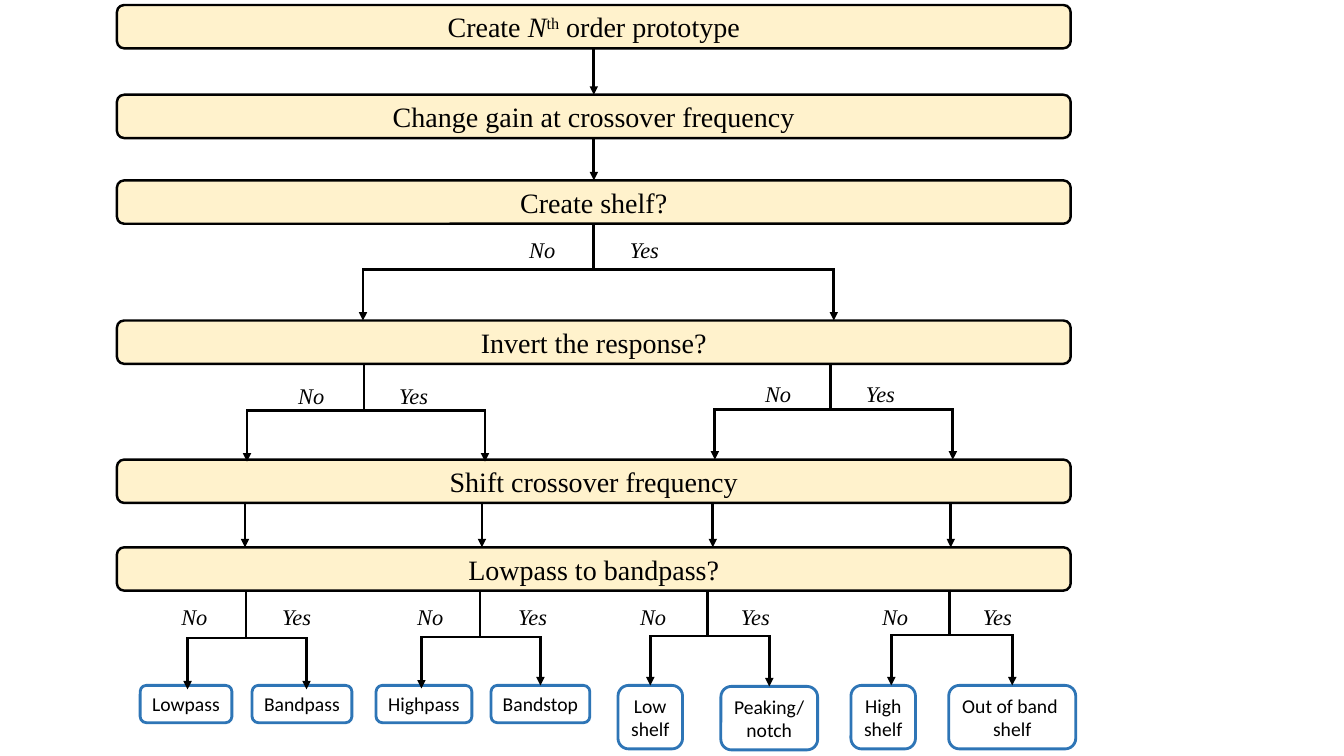
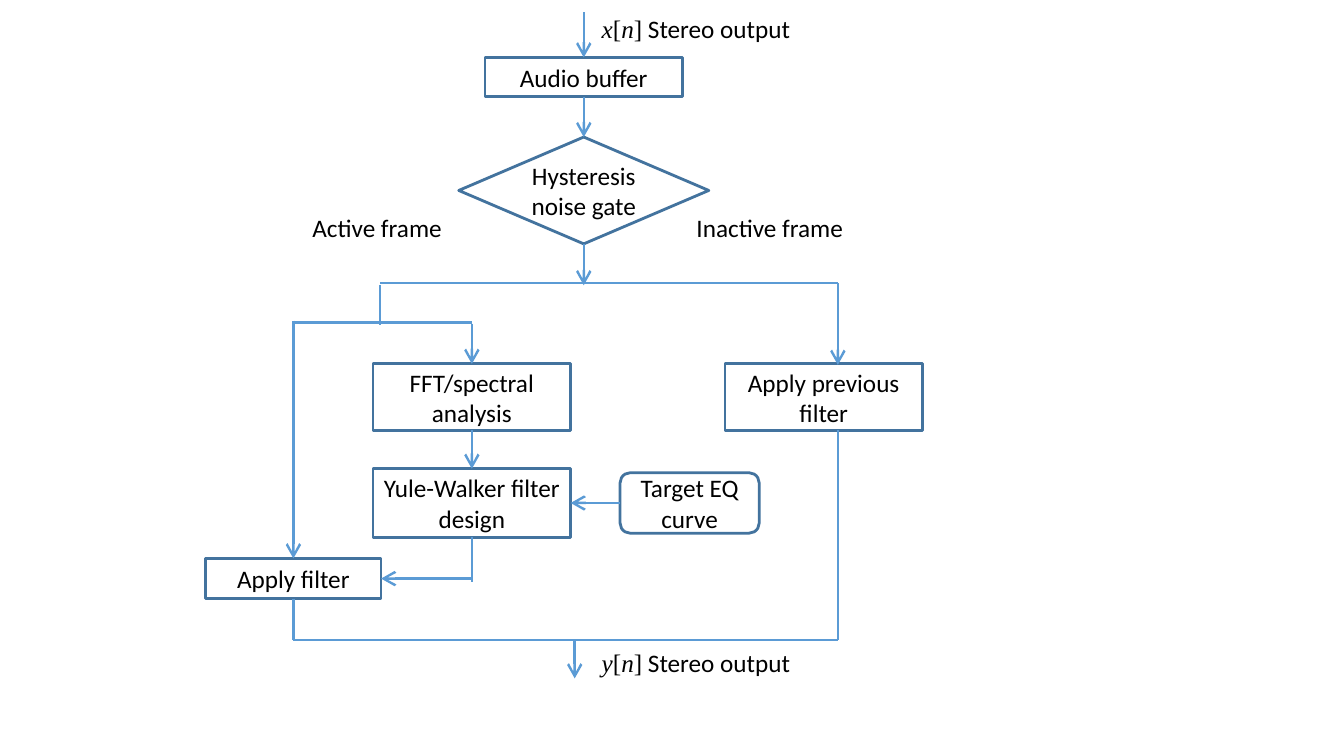
from dataclasses import dataclass
from math import hypot

from lxml.etree import SubElement
from pptx import Presentation
from pptx.dml.color import RGBColor
from pptx.enum.shapes import MSO_CONNECTOR, MSO_SHAPE
from pptx.enum.text import MSO_ANCHOR, MSO_AUTO_SIZE, PP_ALIGN
from pptx.oxml.ns import qn
from pptx.util import Inches, Pt


@dataclass(frozen=True)
class Theme:
    ink: str = "000000"
    bar_fill: str = "FFF2CC"
    outcome_line: str = "2E75B6"
    step_line: str = "43739E"
    flow_line: str = "5B9BD5"
    serif: str = "Times New Roman"
    sans: str = "Calibri"
    bar_size: int = 20
    step_size: int = 18
    answer_size: int = 16
    outcome_size: int = 14
    thin: float = 1.75
    thick: float = 2


THEME = Theme()
JOIN_DISTANCE = 0.035  # inches within which a line end joins a side's middle
HEAD_SIZES = {"triangle": "med", "arrow": "lg"}


# Text
def write_text(frame, paragraphs, size, font=THEME.sans, italic=False,
               align=PP_ALIGN.LEFT, anchor=MSO_ANCHOR.TOP, wrap=False, grow=False,
               tab_stop=None):
    """Each paragraph is a string or a list of (text, overrides) spans."""
    frame.word_wrap = wrap
    frame.vertical_anchor = anchor
    frame.auto_size = MSO_AUTO_SIZE.SHAPE_TO_FIT_TEXT if grow else MSO_AUTO_SIZE.NONE
    for index, content in enumerate(paragraphs):
        para = frame.add_paragraph() if index else frame.paragraphs[0]
        para.alignment = align
        if tab_stop:
            stops = SubElement(para._p.get_or_add_pPr(), qn("a:tabLst"))
            SubElement(stops, qn("a:tab"), pos=str(Inches(tab_stop)), algn="l")
        spans = [(content, {})] if isinstance(content, str) else content
        for text, changes in spans:
            span = para.add_run()
            span.text = text
            span.font.size = Pt(size)
            span.font.name = changes.get("font", font)
            span.font.italic = changes.get("italic", italic)
            span.font.color.rgb = RGBColor.from_string(THEME.ink)
            if "baseline" in changes:
                span._r.get_or_add_rPr().set("baseline", str(changes["baseline"]))


def add_label(page, left, top, width, height, content, **text_format):
    box = page.shapes.add_textbox(*map(Inches, (left, top, width, height)))
    write_text(box.text_frame, [content], grow=True, **text_format)


# Shapes
def add_box(page, kind, area, paragraphs, line, line_width=THEME.thick, fill=None,
            **text_format):
    box = page.shapes.add_shape(kind, *map(Inches, area))
    box.shadow.inherit = False
    if fill:
        box.fill.solid()
        box.fill.fore_color.rgb = RGBColor.from_string(fill)
    else:
        box.fill.background()
    box.line.color.rgb = RGBColor.from_string(line)
    box.line.width = Pt(line_width)
    write_text(box.text_frame, paragraphs, align=PP_ALIGN.CENTER, **text_format)
    return box


def side_middles(box):
    """Middles of the sides in connection order: top, left, bottom, right."""
    left, top = box.left.inches, box.top.inches
    width, height = box.width.inches, box.height.inches
    middle, centre = left + width / 2, top + height / 2
    return [(middle, top), (left, centre), (middle, top + height), (left + width, centre)]


# Lines
def add_line(page, start, end, color, width, head=None, boxes=()):
    line = page.shapes.add_connector(
        MSO_CONNECTOR.STRAIGHT, *map(Inches, (*start, *end)))
    line.line.color.rgb = RGBColor.from_string(color)
    line.line.width = Pt(width)
    properties = line._element.spPr
    if head:
        size = HEAD_SIZES[head]
        SubElement(properties.find(qn("a:ln")), qn("a:tailEnd"),
                   type=head, w=size, len=size)
    SubElement(properties, qn("a:effectLst"))
    for point, connect in ((start, line.begin_connect), (end, line.end_connect)):
        for box in boxes:
            for site, (x, y) in enumerate(side_middles(box)):
                if hypot(x - point[0], y - point[1]) < JOIN_DISTANCE:
                    connect(box, site)


def add_decision_line(page, start, end, boxes, head=None):
    add_line(page, start, end, THEME.ink, THEME.thick, head, boxes)


def add_branch(page, boxes, stem, top, rail, tip, left, right):
    """A stem that splits at a rail into two arrows."""
    add_decision_line(page, (stem, top), (stem, rail), boxes)
    add_decision_line(page, (left, rail), (right, rail), boxes)
    for x in (left, right):
        add_decision_line(page, (x, rail - 0.01), (x, tip), boxes, "triangle")


# Slide 1: filter design decisions
def build_decision_tree(page):
    bars = [
        (0.05, [("Create ", {}), ("N", {"italic": True}),
                ("th", {"baseline": 30000}), (" order prototype", {})]),
        (0.94, "Change gain at crossover frequency"),
        (1.79, "Create shelf?"),
        (3.18, "Invert the response?"),
        (4.56, "Shift crossover frequency"),
        (5.43, "Lowpass to bandpass?"),
    ]
    boxes = [
        add_box(page, MSO_SHAPE.ROUNDED_RECTANGLE, (1.16, top, 9.46, 0.43), [content],
                THEME.ink, THEME.thin, THEME.bar_fill, size=THEME.bar_size,
                font=THEME.serif, anchor=MSO_ANCHOR.MIDDLE, wrap=True)
        for top, content in bars
    ]

    # Resulting filter types: left, top, width, lines
    outcomes = [
        (1.39, 6.8, 0.91, ["Lowpass"]),
        (2.5, 6.8, 0.99, ["Bandpass"]),
        (3.73, 6.8, 0.95, ["Highpass"]),
        (4.87, 6.8, 0.98, ["Bandstop"]),
        (6.13, 6.8, 0.64, ["Low", "shelf"]),
        (7.15, 6.81, 0.96, ["Peaking/", "notch"]),
        (8.44, 6.8, 0.64, ["High", "shelf"]),
        (9.41, 6.8, 1.26, ["Out of band ", "shelf"]),
    ]
    for left, top, width, lines in outcomes:
        height = 0.37 if len(lines) == 1 else 0.63
        boxes.append(add_box(
            page, MSO_SHAPE.ROUNDED_RECTANGLE, (left, top, width, height), lines,
            THEME.outcome_line, size=THEME.outcome_size, grow=True))

    # Arrows between consecutive bars: x, top, bottom
    arrows = [(5.89, 0.47, 0.92), (5.89, 1.34, 1.79), (2.43, 4.98, 5.43),
              (4.78, 4.98, 5.43), (7.07, 5, 5.43), (9.43, 5, 5.43)]
    for x, top, bottom in arrows:
        add_decision_line(page, (x, top), (x, bottom), boxes, "triangle")

    # Branches: stem, top, rail, tip, left, right; then the answers' left and top
    branches = [
        ((5.89, 2.2, 2.67, 3.18, 3.6, 8.27), (5.15, 2.29)),
        ((3.61, 3.61, 4.07, 4.58, 2.45, 4.81), (2.86, 3.74)),
        ((8.24, 3.6, 4.06, 4.56, 7.09, 9.45), (7.49, 3.72)),
        ((2.44, 5.86, 6.33, 6.84, 1.86, 3.04), (1.7, 5.93)),
        ((4.76, 5.86, 6.32, 6.83, 4.18, 5.36), (4.04, 5.93)),
        ((7.02, 5.86, 6.31, 6.81, 6.45, 7.63), (6.25, 5.93)),
        ((9.42, 5.85, 6.3, 6.8, 8.84, 10.04), (8.65, 5.93)),
    ]
    for branch, answers in branches:
        add_branch(page, boxes, *branch)
        add_label(page, *answers, 1.5, 0.37, "No\tYes", size=THEME.answer_size,
                  font=THEME.serif, italic=True, tab_stop=1)


# Slide 2: processing of one audio frame
def signal_name(letter):
    serif = {"font": THEME.serif}
    slanted = {"font": THEME.serif, "italic": True}
    return [(letter, slanted), ("[", serif), ("n", slanted), ("]", serif),
            (" Stereo output", {})]


def build_signal_flow(page):
    steps = [
        (MSO_SHAPE.DIAMOND, (4.55, 1.36, 2.48, 1.06), "Hysteresis noise gate"),
        (MSO_SHAPE.RECTANGLE, (3.7, 3.61, 1.96, 0.66), "FFT/spectral analysis"),
        (MSO_SHAPE.ROUNDED_RECTANGLE, (6.15, 4.69, 1.38, 0.6), "Target EQ curve"),
        (MSO_SHAPE.RECTANGLE, (4.81, 0.57, 1.96, 0.39), "Audio buffer"),
        (MSO_SHAPE.RECTANGLE, (7.19, 3.61, 1.96, 0.66), "Apply previous filter"),
        (MSO_SHAPE.RECTANGLE, (3.7, 4.65, 1.96, 0.68), "Yule-Walker filter design"),
        (MSO_SHAPE.RECTANGLE, (2.04, 5.54, 1.74, 0.4), "Apply filter"),
    ]
    boxes = [
        add_box(page, kind, area, [text], THEME.step_line, size=THEME.step_size,
                anchor=MSO_ANCHOR.MIDDLE, wrap=True)
        for kind, area, text in steps
    ]

    # Columns the signal runs along
    main, analysis, bypass, inactive, split, output = 5.79, 4.68, 2.91, 8.31, 3.77, 5.7
    arrows = [
        ((main, 0.12), (main, 0.57)),
        ((main, 0.93), (main, 1.37)),
        ((main, 2.42), (main, 2.83)),
        ((analysis, 3.21), (analysis, 3.61)),
        ((analysis, 4.26), (analysis, 4.65)),
        ((6.15, 4.99), (5.65, 4.99)),
        ((inactive, 2.81), (inactive, 3.62)),
        ((bypass, 3.18), (bypass, 5.54)),
        ((analysis, 5.74), (split, 5.74)),
        ((output, 6.34), (output, 6.73)),
    ]
    rails = [
        ((split, 2.81), (inactive, 2.81)),
        ((split, 2.83), (split, 3.22)),
        ((bypass, 3.2), (analysis, 3.2)),
        ((analysis, 5.33), (analysis, 5.77)),
        ((inactive, 4.27), (inactive, 6.35)),
        ((bypass, 5.94), (bypass, 6.35)),
        ((bypass, 6.35), (inactive, 6.35)),
    ]
    for head, lines in (("arrow", arrows), (None, rails)):
        for start, end in lines:
            add_line(page, start, end, THEME.flow_line, THEME.thin, head, boxes)

    labels = [
        (5.87, 6.37, 2.16, signal_name("y")),
        (5.87, 0.08, 2.1, signal_name("x")),
        (3, 2.06, 1.5, "Active frame"),
        (6.81, 2.06, 1.67, "Inactive frame"),
    ]
    for left, top, width, content in labels:
        add_label(page, left, top, width, 0.4, content, size=THEME.step_size)


def main():
    deck = Presentation()
    deck.slide_width, deck.slide_height = Inches(13.33), Inches(7.5)
    blank = deck.slide_layouts[6]
    for build in (build_decision_tree, build_signal_flow):
        build(deck.slides.add_slide(blank))
    deck.save("out.pptx")


if __name__ == "__main__":
    main()
